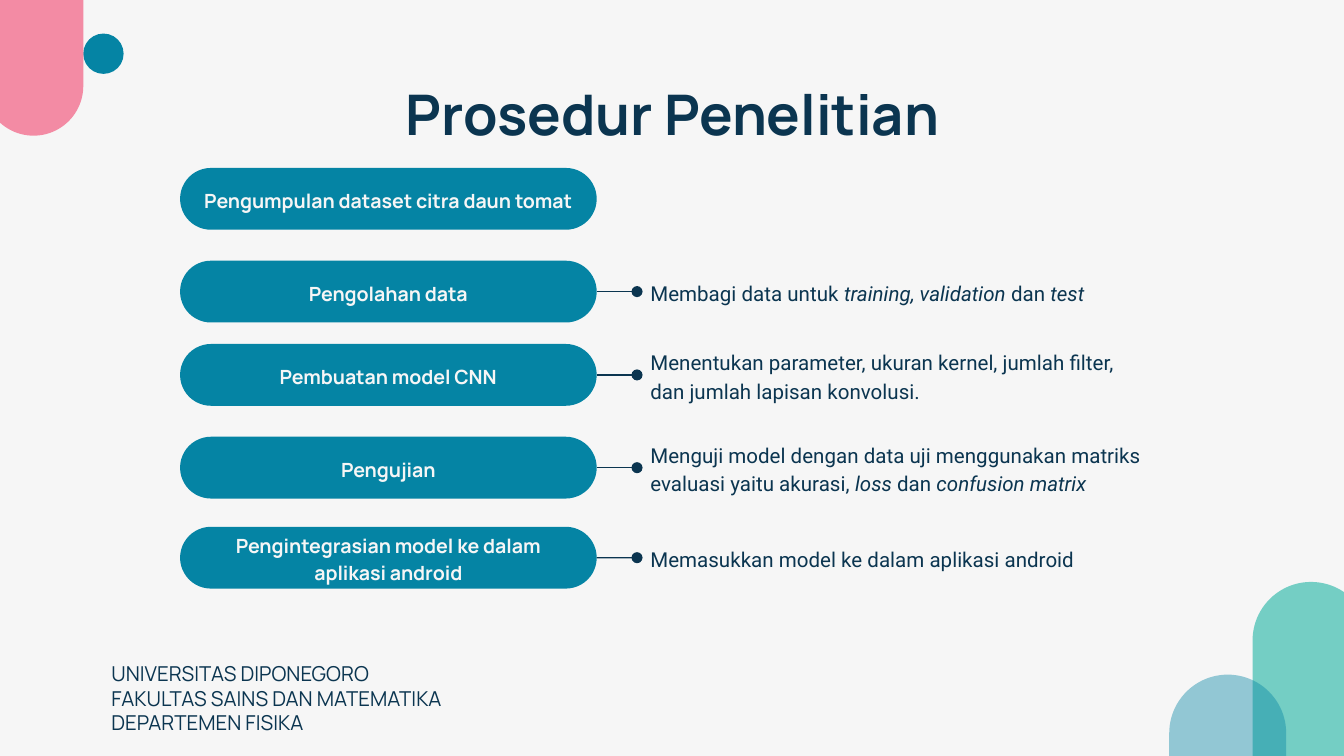
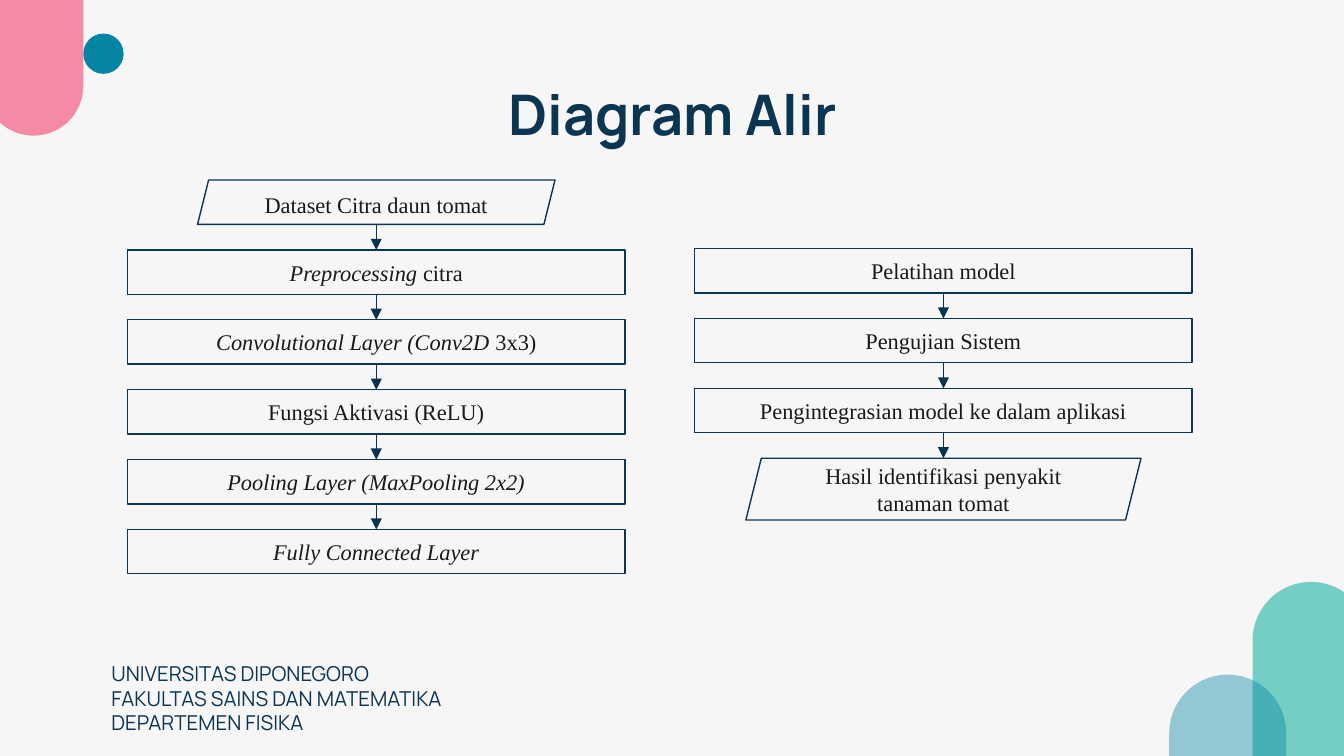
from dataclasses import dataclass
from typing import Any, NamedTuple, Optional

from lxml import etree
from pptx import Presentation
from pptx.dml.color import RGBColor
from pptx.enum.shapes import MSO_CONNECTOR, MSO_SHAPE
from pptx.enum.text import MSO_ANCHOR, MSO_AUTO_SIZE, PP_ALIGN
from pptx.oxml.ns import qn
from pptx.util import Inches, Pt

NAVY = RGBColor(0x0B, 0x35, 0x50)
DEEP = RGBColor(0x09, 0x34, 0x50)
TEAL = RGBColor(0x05, 0x84, 0xA4)
MINT = RGBColor(0x74, 0xCE, 0xC4)
PINK = RGBColor(0xF2, 0x55, 0x7A)
PALE = RGBColor(0xF6, 0xF6, 0xF6)
INK = RGBColor(0x19, 0x19, 0x19)

RECT = MSO_SHAPE.RECTANGLE
PILL = MSO_SHAPE.ROUNDED_RECTANGLE
OVAL = MSO_SHAPE.OVAL
SLANT = MSO_SHAPE.PARALLELOGRAM
LINE = MSO_CONNECTOR.STRAIGHT
TOP = MSO_ANCHOR.TOP
MIDDLE = MSO_ANCHOR.MIDDLE
GROW = MSO_AUTO_SIZE.SHAPE_TO_FIT_TEXT
FIXED = MSO_AUTO_SIZE.NONE
LEFT = PP_ALIGN.LEFT
CENTER = PP_ALIGN.CENTER

WIDTH = Inches(10)
HEIGHT = WIDTH * 9 // 16


class Box(NamedTuple):
    left: float
    top: float
    width: float
    height: float

    def emu(self) -> list[int]:
        return [Inches(side) for side in self]


class Band(NamedTuple):
    kind: Any
    box: Box
    color: RGBColor
    alpha: int = 100


class Stage(NamedTuple):
    top: float
    text: str
    note: str = ""
    tall: float = 0.18


class Step(NamedTuple):
    text: str
    kind: Any = RECT
    width: float = 3.7
    height: float = 0.33
    anchor: Any = MIDDLE


class Column(NamedTuple):
    mid: float
    top: float
    steps: list[Step]


@dataclass(frozen=True)
class Style:
    face: str
    size: float
    color: RGBColor
    bold: bool = False
    align: Any = LEFT
    anchor: Any = TOP
    space: Optional[float] = None
    pad: float = 0.1
    fit: Any = FIXED


HEAD = Style("Manrope", 30, NAVY, bold=True, align=CENTER)
FOOT = Style("Manrope", 11, NAVY, pad=0.05, fit=GROW)
LABEL = Style("Manrope", 10.5, PALE, True, CENTER, MIDDLE, 1.15)
NOTE = Style("Roboto", 11, NAVY, anchor=MIDDLE, space=1.15)
FLOW = Style("Times New Roman", 12, INK, align=CENTER, pad=0.05)

BANDS = [
    Band(PILL, Box(9.32, 4.33, 0.87, 4.52), MINT),
    Band(PILL, Box(8.7, 5.02, 0.87, 3.13), TEAL, 41),
    Band(OVAL, Box(0.62, 0.25, 0.3, 0.3), TEAL),
    Band(PILL, Box(-0.12, -0.99, 0.74, 2), PINK, 66),
]
FOOTER = ["UNIVERSITAS DIPONEGORO", "FAKULTAS SAINS DAN MATEMATIKA", "DEPARTEMEN FISIKA"]

STAGES = [
    Stage(1.25, "Pengumpulan dataset citra daun tomat"),
    Stage(1.94, "Pengolahan data", "Membagi data untuk *training, validation *dan *test"),
    Stage(2.56, "Pembuatan model CNN",
          "Menentukan parameter, ukuran kernel, jumlah filter, dan jumlah lapisan konvolusi.", 0.35),
    Stage(3.25, "Pengujian",
          "Menguji model dengan data uji menggunakan matriks evaluasi yaitu akurasi, "
          "*loss* dan *confusion matrix"),
    Stage(3.92, "Pengintegrasian model ke dalam aplikasi android",
          "Memasukkan model ke dalam aplikasi android"),
]

PITCH = 0.52
COLUMNS = [
    Column(2.8, 1.34, [
        Step("Dataset Citra daun tomat", SLANT, 2.66, anchor=TOP),
        Step("*Preprocessing *citra"),
        Step("*Convolutional Layer (Conv2D *3x3)"),
        Step("Fungsi Aktivasi (ReLU)"),
        Step("*Pooling Layer (MaxPooling 2x2)"),
        Step("*Fully Connected Layer"),
    ]),
    Column(7.02, 1.85, [
        Step("Pelatihan model"),
        Step("Pengujian Sistem"),
        Step("Pengintegrasian model ke dalam aplikasi"),
        Step("Hasil identifikasi penyakit tanaman tomat", SLANT, 2.94, 0.46),
    ]),
]


def apply(target: Any, values: dict[str, Any]) -> None:
    for name, value in values.items():
        setattr(target, name, value)


def write(shape: Any, lines: list[str], style: Style, anchor: Any = None) -> None:
    frame = shape.text_frame
    apply(frame, {
        "word_wrap": True,
        "auto_size": style.fit,
        "vertical_anchor": anchor or style.anchor,
        "margin_left": Inches(0.1),
        "margin_right": Inches(0.1),
        "margin_top": Inches(style.pad),
        "margin_bottom": Inches(style.pad),
    })
    for row, line in enumerate(lines):
        para = frame.add_paragraph() if row else frame.paragraphs[0]
        apply(para, {"alignment": style.align, "line_spacing": style.space})
        for index, part in enumerate(line.split("*")):
            if part:
                run = para.add_run()
                run.text = part
                apply(run.font, {
                    "name": style.face,
                    "size": Pt(style.size),
                    "bold": style.bold,
                    "italic": index % 2 == 1,
                })
                run.font.color.rgb = style.color


def add_text(slide: Any, box: Box, lines: list[str], style: Style) -> Any:
    shape = slide.shapes.add_textbox(*box.emu())
    write(shape, lines, style)
    return shape


def add_form(slide: Any, kind: Any, box: Box, fill: Optional[RGBColor] = None) -> Any:
    shape = slide.shapes.add_shape(kind, *box.emu())
    shape.shadow.inherit = False
    if kind == PILL:
        shape.adjustments[0] = 0.5
    if fill is None:
        shape.fill.background()
        shape.line.color.rgb = NAVY
        shape.line.width = Pt(0.75)
    else:
        shape.fill.solid()
        shape.fill.fore_color.rgb = fill
        shape.line.fill.background()
    return shape


def add_band(slide: Any, band: Band) -> None:
    shape = add_form(slide, band.kind, band.box, band.color)
    if band.alpha < 100:
        tint = shape._element.spPr.find(".//" + qn("a:srgbClr"))
        etree.SubElement(tint, qn("a:alpha"), val=str(band.alpha * 1000))


def add_link(slide: Any, start: Any, stop: Any, sides: tuple[int, int],
             color: RGBColor, tip: str) -> None:
    ends = []
    for shape, side in zip((start, stop), sides):
        if side in (0, 2):
            ends += [shape.left + shape.width // 2, shape.top + shape.height * (side // 2)]
        else:
            ends += [shape.left + shape.width * (side // 3), shape.top + shape.height // 2]
    link = slide.shapes.add_connector(LINE, *ends)
    joins = (link.begin_connect, link.end_connect)
    for join, shape, side in zip(joins, (start, stop), sides):
        if shape.name.startswith("TextBox") or shape.auto_shape_type != SLANT:
            join(shape, side)
    link.line.color.rgb = color
    link.line.width = Pt(0.75)
    edge = link._element.spPr.find(qn("a:ln"))
    etree.SubElement(edge, qn("a:tailEnd"), type=tip)
    etree.SubElement(link._element.spPr, qn("a:effectLst"))


def add_page(deck: Any, title: str) -> Any:
    slide = deck.slides.add_slide(deck.slide_layouts[6])
    slide.background.fill.solid()
    slide.background.fill.fore_color.rgb = PALE
    for band in BANDS:
        add_band(slide, band)
    add_text(slide, Box(0.79, 0.49, 8.43, 0.63), [title], HEAD)
    add_text(slide, Box(0.73, 4.87, 4.18, 0.66), FOOTER, FOOT)
    return slide


def add_stage(slide: Any, stage: Stage) -> None:
    box = Box(1.34, stage.top, 3.1, 0.46)
    pill = add_form(slide, PILL, box, TEAL)
    write(pill, [stage.text], LABEL)
    if stage.note:
        top = stage.top + (box.height - stage.tall) / 2
        note = add_text(slide, Box(4.74, top, 3.91, stage.tall), [stage.note], NOTE)
        add_link(slide, pill, note, (3, 1), NAVY, "oval")


def add_column(slide: Any, column: Column) -> None:
    last = None
    for row, step in enumerate(column.steps):
        box = Box(column.mid - step.width / 2, column.top + row * PITCH,
                  step.width, step.height)
        shape = add_form(slide, step.kind, box)
        write(shape, [step.text], FLOW, step.anchor)
        if last is not None:
            add_link(slide, last, shape, (2, 0), DEEP, "triangle")
        last = shape


def main() -> None:
    deck = Presentation()
    deck.slide_width = WIDTH
    deck.slide_height = HEIGHT
    slide = add_page(deck, "Prosedur Penelitian")
    for stage in STAGES:
        add_stage(slide, stage)
    slide = add_page(deck, "Diagram Alir")
    for column in COLUMNS:
        add_column(slide, column)
    deck.save("out.pptx")


if __name__ == "__main__":
    main()
